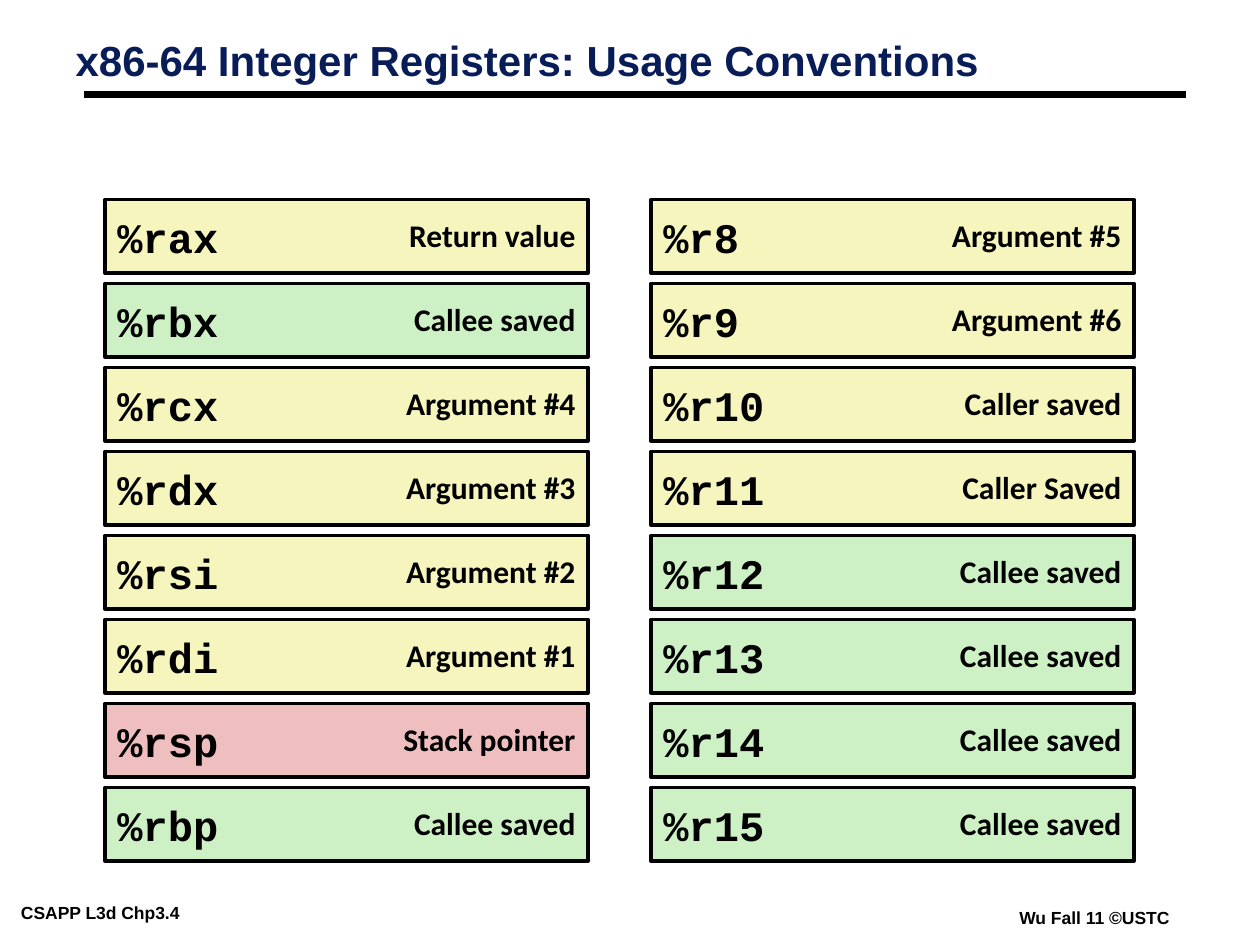
import pptx
import pptx.util
import pptx.dml.color
import pptx.enum.shapes
import pptx.enum.text
import pptx.oxml.ns
import lxml.etree
from dataclasses import dataclass

Pt = pptx.util.Pt
Color = pptx.dml.color.RGBColor.from_string
Align = pptx.enum.text.PP_ALIGN
Anchor = pptx.enum.text.MSO_ANCHOR


@dataclass(frozen=True)
class Theme:
    ink: str = "000000"
    title: str = "081D58"
    caller: str = "F6F5BD"
    callee: str = "CDF1C5"
    stack: str = "EFBFBF"
    heading_size: float = 24
    register_size: float = 24
    usage_size: float = 18
    footer_size: float = 10
    sans: str = "Arial"
    label: str = "Calibri"
    code: str = "Courier New"


theme = Theme()


def write(box, text, *, font, size, color=theme.ink, align=Align.LEFT,
          anchor=Anchor.TOP, inset=(7.2, 3.6), line_spacing=None):
    frame = box.text_frame
    frame.word_wrap = True
    frame.auto_size = pptx.enum.text.MSO_AUTO_SIZE.NONE
    frame.vertical_anchor = anchor
    frame.margin_left = frame.margin_right = Pt(inset[0])
    frame.margin_top = frame.margin_bottom = Pt(inset[1])
    para = frame.paragraphs[0]
    para.alignment = align
    para.line_spacing = line_spacing
    span = para.add_run()
    span.text = text
    span.font.name = font
    span.font.size = Pt(size)
    span.font.bold = True
    span.font.color.rgb = Color(color)


deck = pptx.Presentation()
deck.slide_width, deck.slide_height = Pt(720), Pt(540)
page = deck.slides.add_slide(deck.slide_layouts[5])

title = page.shapes.title
title.left, title.top, title.width, title.height = Pt(36), Pt(20), Pt(630), Pt(32.5)
write(title, "x86-64 Integer Registers: Usage Conventions", font=theme.sans,
      size=theme.heading_size, color=theme.title, anchor=Anchor.MIDDLE,
      line_spacing=0.87)

rule = page.shapes.add_connector(pptx.enum.shapes.MSO_CONNECTOR.STRAIGHT,
                                 Pt(48), Pt(54), Pt(678), Pt(54))
rule.line.color.rgb = Color(theme.ink)
rule.line.width = Pt(4.5)
lxml.etree.SubElement(rule.element.spPr, pptx.oxml.ns.qn("a:effectLst"))

footers = [
    ("CSAPP L3d Chp3.4", 7, 513.5, 146),
    ("Wu Fall 11 ©USTC", 577.5, 516.5, 99),
]
for text, left, top, width in footers:
    box = page.shapes.add_textbox(Pt(left), Pt(top), Pt(width), Pt(16))
    write(box, text, font=theme.sans, size=theme.footer_size, inset=(5, 2))

columns = [
    [
        ("%rax", "Return value", theme.caller),
        ("%rbx", "Callee saved", theme.callee),
        ("%rcx", "Argument #4", theme.caller),
        ("%rdx", "Argument #3", theme.caller),
        ("%rsi", "Argument #2", theme.caller),
        ("%rdi", "Argument #1", theme.caller),
        ("%rsp", "Stack pointer", theme.stack),
        ("%rbp", "Callee saved", theme.callee),
    ],
    [
        ("%r8", "Argument #5", theme.caller),
        ("%r9", "Argument #6", theme.caller),
        ("%r10", "Caller saved", theme.caller),
        ("%r11", "Caller Saved", theme.caller),
        ("%r12", "Callee saved", theme.callee),
        ("%r13", "Callee saved", theme.callee),
        ("%r14", "Callee saved", theme.callee),
        ("%r15", "Callee saved", theme.callee),
    ],
]
first_left, first_top = 60, 114
column_step, row_step = 312, 48
register_width, register_height = 276, 42
usage_width, usage_height = 114, 29

for column, registers in enumerate(columns):
    left = first_left + column * column_step
    for row, (register, usage, fill) in enumerate(registers):
        top = first_top + row * row_step
        box = page.shapes.add_shape(pptx.enum.shapes.MSO_SHAPE.RECTANGLE, Pt(left),
                                    Pt(top), Pt(register_width), Pt(register_height))
        box.shadow.inherit = False
        box.fill.solid()
        box.fill.fore_color.rgb = Color(fill)
        box.line.color.rgb = Color(theme.ink)
        box.line.width = Pt(2)
        write(box, register, font=theme.code, size=theme.register_size,
              anchor=Anchor.MIDDLE)

        label = page.shapes.add_textbox(Pt(left + register_width - usage_width),
                                        Pt(top + 6), Pt(usage_width), Pt(usage_height))
        write(label, usage, font=theme.label, size=theme.usage_size, align=Align.RIGHT)

deck.save("out.pptx")
